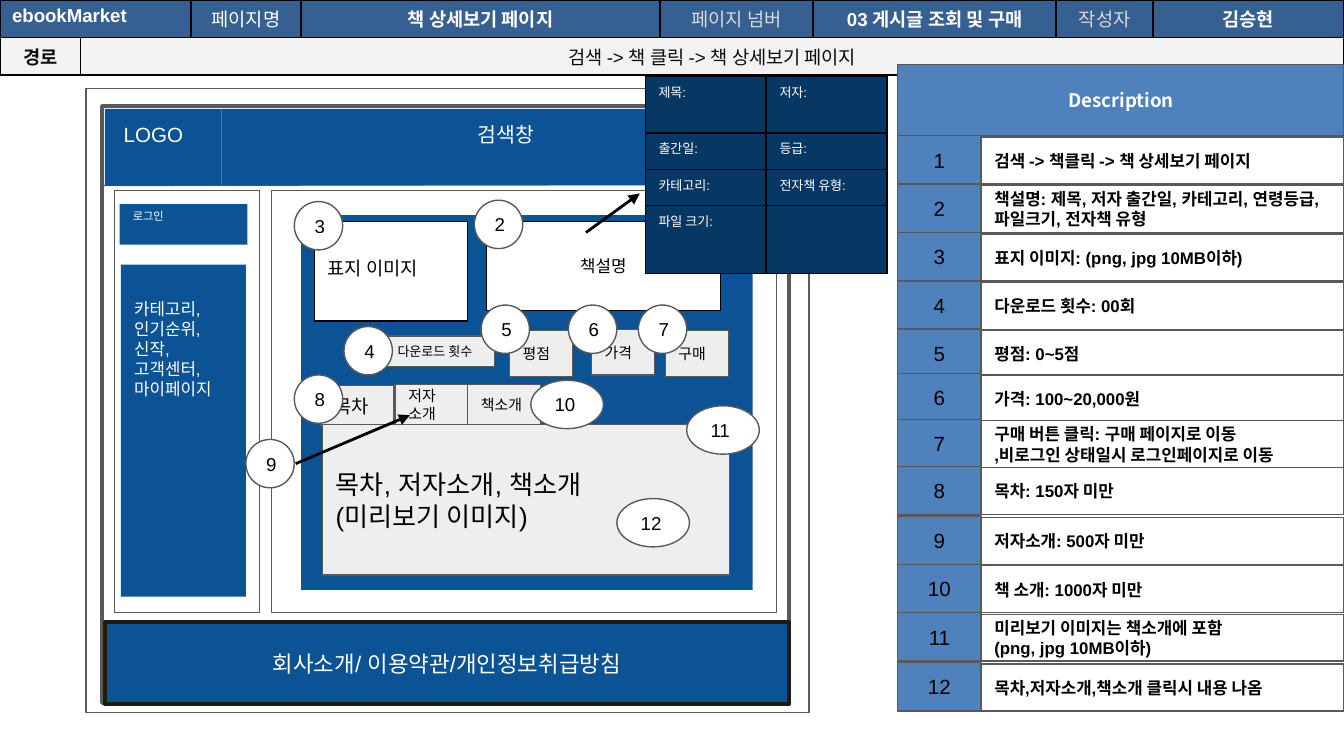
from dataclasses import dataclass
from typing import Optional

from lxml.etree import SubElement
from pptx import Presentation
from pptx.dml.color import RGBColor
from pptx.enum.shapes import MSO_CONNECTOR as Conn, MSO_SHAPE as Kind
from pptx.enum.text import MSO_ANCHOR as Anchor, PP_ALIGN as Align
from pptx.oxml.ns import qn
from pptx.util import Cm, Pt

BLUE, GRAY, EDGE = "0B5394", "EEEEEE", "595959"
WHITE, BLACK, STEEL, NAVY = "FFFFFF", "000000", "4F81BD", "073763"
HEAD, PALE, DIM, INK = "366092", "F2F2F2", "D8D8D8", "0C0C0C"


@dataclass
class Box:
    x: float
    y: float
    w: float
    h: float
    text: str = ""
    size: float = 10
    color: str = BLACK
    fill: Optional[str] = None
    line: Optional[str] = EDGE
    width: float = 0.75
    bold: bool = False
    align: Align = Align.LEFT
    anchor: Anchor = Anchor.MIDDLE
    left: float = 0.1
    top: float = 0.1
    bottom: float = 0.1
    face: str = "Arial"
    kind: Kind = Kind.RECTANGLE


@dataclass
class Entry:
    text: str
    color: str = WHITE
    bold: bool = False
    align: Align = Align.CENTER


def unit(inch: float) -> Cm:
    """Turn the inch grid of the slide into centimetres."""
    return Cm(inch * 2.54)


def rgb(code: str) -> RGBColor:
    return RGBColor.from_string(code)


def style(par, size: float, color: str, bold: bool, align, face="Arial"):
    par.alignment = align
    font = par.font
    font.name, font.size, font.bold = face, Pt(size), bold
    font.color.rgb = rgb(color)


def paint(fill, code: Optional[str]):
    if code:
        fill.solid()
        fill.fore_color.rgb = rgb(code)
    else:
        fill.background()


def draw(slide, box: Box):
    shape = slide.shapes.add_shape(
        box.kind, unit(box.x), unit(box.y), unit(box.w), unit(box.h))
    shape.shadow.inherit = False
    paint(shape.fill, box.fill)
    paint(shape.line.fill, box.line)
    if box.line:
        shape.line.width = Pt(box.width)
    if not box.text:
        return
    frame = shape.text_frame
    frame.word_wrap = True
    frame.vertical_anchor = box.anchor
    frame.margin_left, frame.margin_right = unit(box.left), unit(0.1)
    frame.margin_top, frame.margin_bottom = unit(box.top), unit(box.bottom)
    frame.text = box.text
    for par in frame.paragraphs:
        style(par, box.size, box.color, box.bold, box.align, box.face)


def link(slide, x1: float, y1: float, x2: float, y2: float,
         color: str = EDGE, width: float = 0.75, arrow: bool = False):
    line = slide.shapes.add_connector(
        Conn.STRAIGHT, unit(x1), unit(y1), unit(x2), unit(y2))
    line.line.color.rgb = rgb(color)
    line.line.width = Pt(width)
    props = line._element.spPr
    if arrow:
        SubElement(props.find(qn("a:ln")), qn("a:tailEnd"), type="triangle")
    SubElement(props, qn("a:effectLst"))


def frame_cell(cell, width: float):
    props = cell._tc.get_or_add_tcPr()
    for spot, side in enumerate(("lnL", "lnR", "lnT", "lnB")):
        edge = props.makeelement(qn(f"a:{side}"), {"w": str(Pt(width))})
        solid = SubElement(edge, qn("a:solidFill"))
        SubElement(solid, qn("a:srgbClr"), val=BLACK)
        props.insert(spot, edge)


def grid(slide, x: float, y: float, cols: list, rows: list,
         fills: list, pads: tuple, width: float):
    table = slide.shapes.add_table(
        len(rows), len(cols), unit(x), unit(y),
        unit(sum(cols)), unit(sum(rows))).table
    for col, span in zip(table.columns, cols):
        col.width = unit(span)
    for row, tall, fill in zip(table.rows, rows, fills):
        row.height = unit(tall)
        for cell in row.cells:
            paint(cell.fill, fill)
            cell.margin_left = cell.margin_right = unit(pads[0])
            cell.margin_top = cell.margin_bottom = unit(pads[1])
            frame_cell(cell, width)
    return table


def write(cell, entry: Entry, size: float):
    cell.text = entry.text
    par = cell.text_frame.paragraphs[0]
    style(par, size, entry.color, entry.bold, entry.align)
    return par


# A 16:9 page
deck = Presentation()
deck.slide_width = Cm(25.4)
deck.slide_height = deck.slide_width * 9 // 16
page = deck.slides.add_slide(deck.slide_layouts[6])

# Header table
top = grid(page, 0, 0, [0.6, 0.82, 0.82, 2.67, 1.14, 1.81, 0.72, 1.42],
           [0.24, 0.24], [HEAD, PALE], (0.09, 0.04), 1)
top.cell(0, 0).merge(top.cell(0, 1))
top.cell(1, 1).merge(top.cell(1, 7))
titles = {
    (0, 0): Entry("ebookMarket", bold=True, align=Align.LEFT),
    (0, 2): Entry("페이지명"),
    (0, 3): Entry("책 상세보기 페이지", bold=True),
    (0, 4): Entry("페이지 넘버", DIM),
    (0, 5): Entry("03 게시글 조회 및 구매", bold=True),
    (0, 6): Entry("작성자", DIM),
    (0, 7): Entry("김승현", bold=True),
    (1, 0): Entry("경로", INK, True),
    (1, 1): Entry("검색 -> 책 클릭 -> 책 상세보기 페이지", INK),
}
for (r, c), entry in titles.items():
    write(top.cell(r, c), entry, 10)
    if r:
        top.cell(r, c).vertical_anchor = Anchor.MIDDLE

# Page frames
draw(page, Box(0.64, 0.66, 5.38, 4.64))
draw(page, Box(0.76, 0.79, 5.11, 4.44, width=2.25))
link(page, 0.77, 1.38, 5.88, 1.37)
link(page, 0.77, 4.62, 5.88, 4.62)
for x, w in ((2.02, 3.76), (0.85, 1.08)):
    draw(page, Box(x, 1.42, w, 3.14))

# Site bars, side menu and book panel
menu = "카테고리,\n인기순위,\n신작,\n고객센터,\n마이페이지"
blue = dict(color=WHITE, fill=BLUE, line=None, anchor=Anchor.TOP)
for box in (
    Box(0.78, 0.81, 0.87, 0.57, "LOGO", 11, left=0.14, **blue),
    Box(1.65, 0.81, 4.23, 0.57, "검색창", 11, align=Align.CENTER, **blue),
    Box(0.89, 1.52, 0.95, 0.3, "로그인", 6, top=0.04, bottom=0.04, **blue),
    Box(0.78, 4.63, 5.09, 0.61, "회사소개/ 이용약관/개인정보취급방침", 12,
        WHITE, BLUE, "1D1B10", 2, align=Align.CENTER, top=0.05, bottom=0.05),
    Box(0.9, 1.97, 0.93, 2.47, menu, 9, top=0.25, **blue),
    Box(2.24, 1.6, 3.36, 2.79, **blue),
    Box(2.34, 1.65, 1.14, 0.74, "표지 이미지", 10, BLACK, WHITE, BLACK,
        anchor=Anchor.TOP, top=0.26),
    Box(3.62, 1.65, 1.74, 0.66, "책설명", 9, BLACK, WHITE, BLACK,
        align=Align.CENTER, anchor=Anchor.TOP, top=0.25),
):
    draw(page, box)

# Gray tabs, preview and buttons
for x, y, w, h, text, size in (
    (2.39, 2.87, 0.54, 0.3, "목차", 10),
    (2.94, 2.86, 0.54, 0.3, "저자 소개", 8),
    (3.48, 2.86, 0.54, 0.3, "책소개", 8),
    (2.4, 3.16, 3.03, 1.12, "목차, 저자소개, 책소개\n(미리보기 이미지)", 14),
    (4.95, 2.46, 0.47, 0.34, "구매", 8),
    (4.4, 2.45, 0.47, 0.34, "가격", 8),
    (3.79, 2.46, 0.47, 0.34, "평점", 8),
    (2.86, 2.5, 0.82, 0.23, "다운로드 횟수", 7),
):
    draw(page, Box(x, y, w, h, text, size, fill=GRAY))

# Description list
draw(page, Box(6.68, 0.48, 3.32, 0.53, "Description", 10, WHITE, STEEL,
               bold=True, align=Align.CENTER, face="Noto Sans CJK KR"))
notes = (
    (1.01, "검색 -> 책클릭 -> 책 상세보기 페이지"),
    (1.37, "책설명: 제목, 저자 출간일, 카테고리, 연령등급, 파일크기, 전자책 유형"),
    (1.73, "표지 이미지: (png, jpg 10MB이하)"),
    (2.09, "다운로드 횟수: 00회"),
    (2.45, "평점: 0~5점"),
    (2.78, "가격: 100~20,000원"),
    (3.12, "구매 버튼 클릭: 구매 페이지로 이동\n,비로그인 상태일시 로그인페이지로 이동"),
    (3.47, "목차: 150자 미만"),
    (3.84, "저자소개: 500자 미만"),
    (4.2, "책 소개: 1000자 미만"),
    (4.56, "미리보기 이미지는 책소개에 포함\n(png, jpg 10MB이하)"),
    (4.93, "목차,저자소개,책소개 클릭시 내용 나옴"),
)
for num, (y, text) in enumerate(notes, 1):
    draw(page, Box(7.3, y + 0.01, 2.7, 0.35, text, 9, fill=WHITE, bold=True))
    draw(page, Box(6.68, y, 0.62, 0.36, str(num), 11, fill=STEEL,
                   align=Align.CENTER))

# Number marks
marks = {3: (2.19, 1.5), 2: (3.53, 1.49), 4: (2.56, 2.43), 5: (3.58, 2.27),
         6: (4.23, 2.27), 7: (4.75, 2.27), 8: (2.19, 2.79), 9: (1.83, 3.27),
         10: (3.95, 2.83), 11: (5.11, 3.02), 12: (4.59, 3.71)}
for num, (x, y) in marks.items():
    draw(page, Box(x, y, 0.36 if num < 10 else 0.54, 0.36, str(num),
                   fill=WHITE, kind=Kind.OVAL))
link(page, 2.2, 3.45, 3.05, 3.09, BLACK, 1.5, True)

# Book facts table
facts = grid(page, 4.8, 0.57, [0.9, 0.9], [0.42, 0.25, 0.18, 0.18],
             [NAVY] * 4, (0.1, 0.1), 0.75)
names = ("제목:", "저자:", "출간일:", "등급:", "카테고리:", "전자책 유형:", "파일 크기:")
for i, name in enumerate(names):
    par = write(facts.cell(*divmod(i, 2)), Entry(name, align=Align.LEFT), 7)
    par.line_spacing = 0.5
link(page, 4.36, 1.73, 4.76, 1.44, BLACK, 1.5, True)

deck.save("out.pptx")
